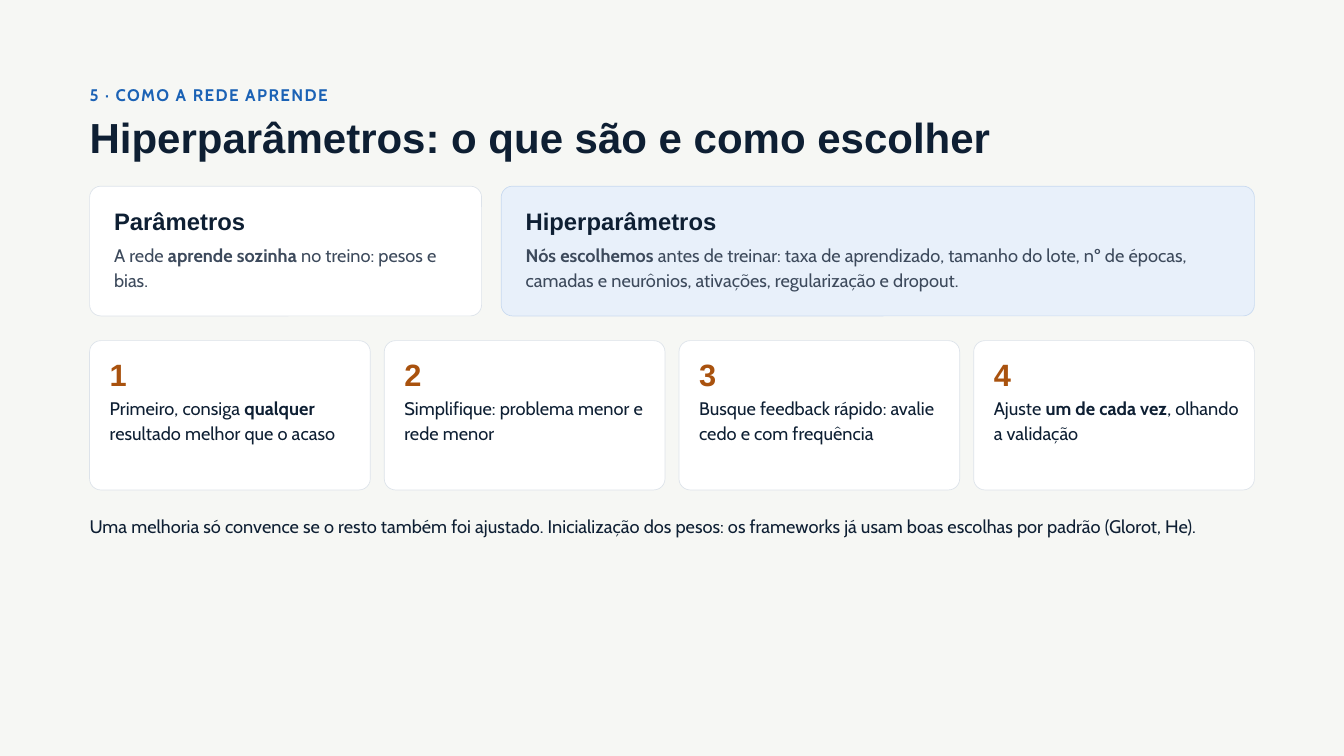
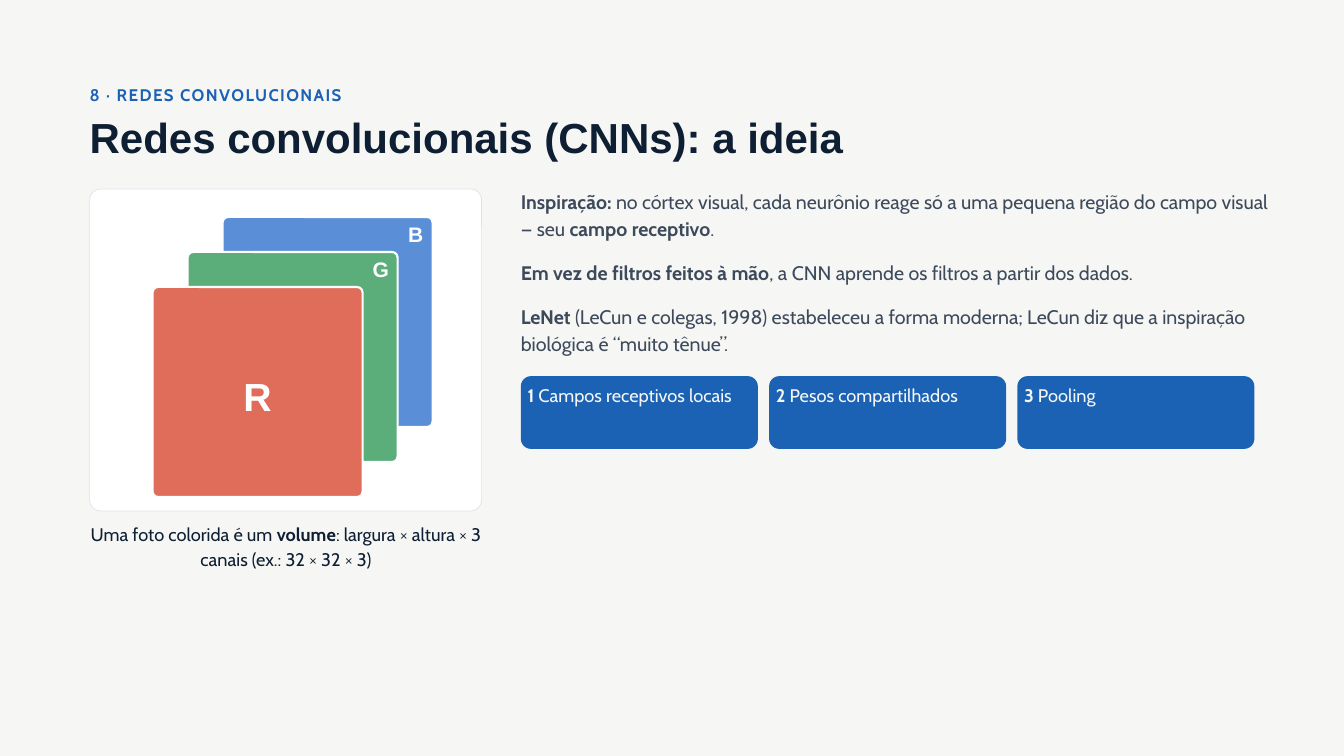
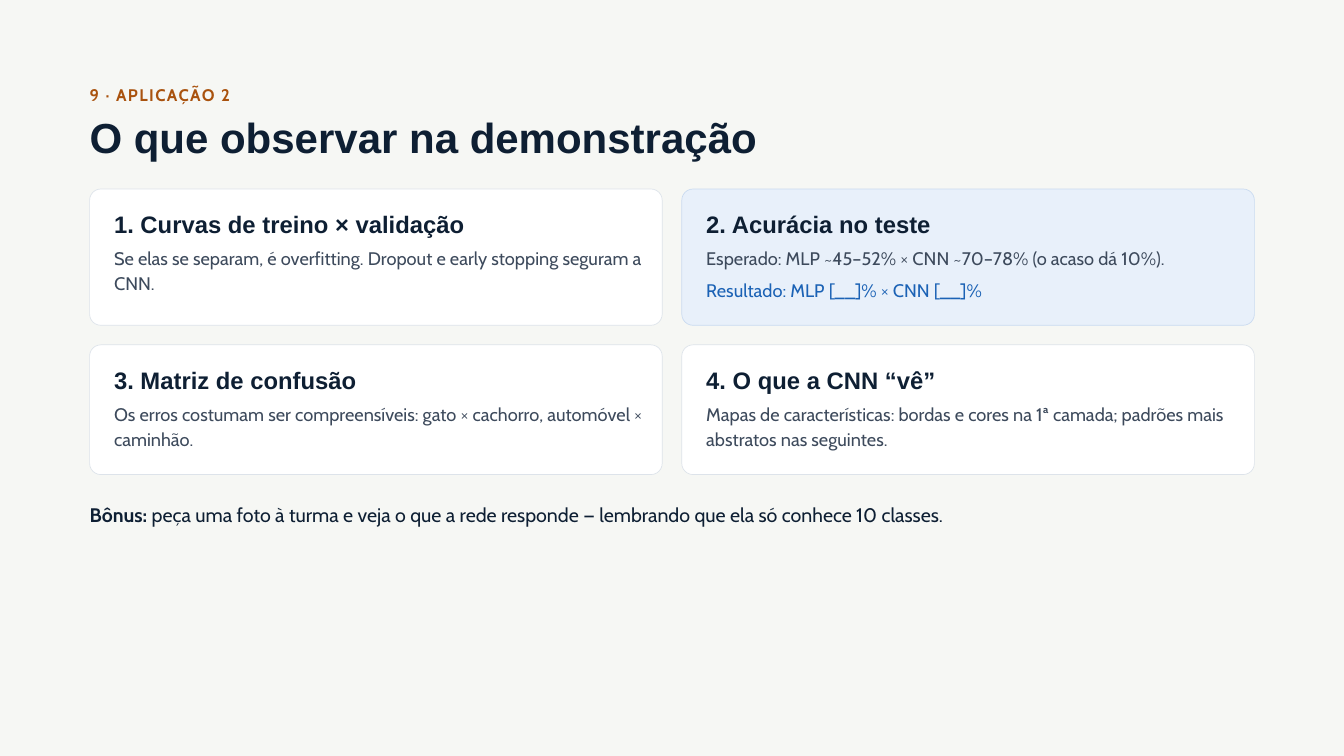
from pptx import Presentation
from pptx.dml.color import RGBColor
from pptx.enum.shapes import MSO_SHAPE
from pptx.enum.text import MSO_ANCHOR, PP_ALIGN
from pptx.util import Pt

ROUND = MSO_SHAPE.ROUNDED_RECTANGLE
TOP = MSO_ANCHOR.TOP
LEFT, CENTER = PP_ALIGN.LEFT, PP_ALIGN.CENTER

# Palette and fonts
PAPER, WHITE, NAVY, SLATE = "F6F7F4", "FFFFFF", "0E1F33", "3D4A5C"
BLUE, RUST, PALE = "1B62B5", "A9520E", "E8F0FA"
EDGE = {WHITE: "DDE3EA", PALE: "C9DAF0"}
HEAD, BODY = "Arial", "Cabin"

# Shared grid
X, WIDE, GAP = 96, 1248, 21
PAD, RISE, DROP = 26.2, 22.3, 58.3  # card inset, heading and body offsets


def write(box, text, size, lead, color=NAVY, font=BODY, align=LEFT, pad=0):
    """Fill a box with one paragraph; **marks** set bold and HEAD is all bold."""
    frame = box.text_frame
    frame.word_wrap = True
    frame.vertical_anchor = TOP
    frame.margin_left = frame.margin_right = Pt(pad)
    frame.margin_top = frame.margin_bottom = Pt(pad)
    para = frame.paragraphs[0]
    para.alignment = align
    para.line_spacing = Pt(lead)
    for i, part in enumerate(text.split("**")):
        if part:
            run = para.add_run()
            run.text = part
            run.font.name = font
            run.font.size = Pt(size)
            run.font.bold = font == HEAD or i % 2 == 1
            run.font.color.rgb = RGBColor.from_string(color)


def place(page, x, y, w, h, fill=None, edge=None, line=0.75, curve=12):
    """Add a text box, or a rounded box when a fill is given."""
    spot = Pt(x), Pt(y), Pt(w), Pt(h)
    if fill is None:
        return page.shapes.add_textbox(*spot)
    box = page.shapes.add_shape(ROUND, *spot)
    box.adjustments[0] = curve / min(w, h)
    box.shadow.inherit = False
    box.fill.solid()
    box.fill.fore_color.rgb = RGBColor.from_string(fill)
    if edge:
        box.line.color.rgb = RGBColor.from_string(edge)
        box.line.width = Pt(line)
    else:
        box.line.fill.background()
    return box


deck = Presentation()
deck.slide_width, deck.slide_height = Pt(1440), Pt(810)

# Background, section tag and title of each slide
pages = []
for tag, title, color in [
    ("5 · COMO A REDE APRENDE", "Hiperparâmetros: o que são e como escolher", BLUE),
    ("8 · REDES CONVOLUCIONAIS", "Redes convolucionais (CNNs): a ideia", BLUE),
    ("9 · APLICAÇÃO 2", "O que observar na demonstração", RUST),
]:
    page = deck.slides.add_slide(deck.slide_layouts[6])
    page.background.fill.solid()
    page.background.fill.fore_color.rgb = RGBColor.from_string(PAPER)
    label = place(page, X, 87, 1285, 31)
    write(label, f"**{tag}**", 18, 25.2, color)
    label.text_frame.paragraphs[0].runs[0].font._element.set("spc", "150")
    write(place(page, X, 124.5, 1285, 51), title, 45, 49.5, font=HEAD)
    pages.append(page)
tuning, vision, demo = pages

# Heading cards of the first and last slides
half = (WIDE - GAP) / 2
right = X + half + GAP
for page, x, y, w, h, fill, head, text in [
    (tuning, X, 199.5, 420, 139, WHITE, "Parâmetros",
     "A rede **aprende sozinha** no treino: pesos e bias."),
    (tuning, 537, 199.5, 807, 139, PALE, "Hiperparâmetros",
     "**Nós escolhemos** antes de treinar: taxa de aprendizado, tamanho do lote, "
     "nº de épocas, camadas e neurônios, ativações, regularização e dropout."),
    (demo, X, 202.5, half, 146, WHITE, "1. Curvas de treino × validação",
     "Se elas se separam, é overfitting. Dropout e early stopping seguram a CNN."),
    (demo, right, 202.5, half, 146, PALE, "2. Acurácia no teste",
     "Esperado: MLP ~45–52% × CNN ~70–78% (o acaso dá 10%)."),
    (demo, X, 369.5, half, 139, WHITE, "3. Matriz de confusão",
     "Os erros costumam ser compreensíveis: gato × cachorro, automóvel × caminhão."),
    (demo, right, 369.5, half, 139, WHITE, "4. O que a CNN “vê”",
     "Mapas de características: bordas e cores na 1ª camada; "
     "padrões mais abstratos nas seguintes."),
]:
    place(page, x, y, w, h, fill, EDGE[fill])
    write(place(page, x + PAD, y + RISE, w - 40, 34.5), head, 25.5, 30.6, font=HEAD)
    write(place(page, x + PAD, y + DROP, w - 40, 60), text, 19.5, 27.3, SLATE)

# Slide 1: four numbered steps
step = (WIDE - 3 * 15) / 4
for i, text in enumerate([
    "Primeiro, consiga **qualquer** resultado melhor que o acaso",
    "Simplifique: problema menor e rede menor",
    "Busque feedback rápido: avalie cedo e com frequência",
    "Ajuste **um de cada vez**, olhando a validação",
]):
    x, y = X + i * (step + 15), 365
    place(tuning, x, y, step, 160, WHITE, EDGE[WHITE])
    write(place(tuning, x + 21.5, y + RISE, step - 35, 34), str(i + 1), 33, 33, RUST, HEAD)
    write(place(tuning, x + 21.5, y + DROP, step - 35, 58), text, 19.5, 26.3)
write(place(tuning, X, 548.5, 1285, 60),
      "Uma melhoria só convence se o resto também foi ajustado. Inicialização dos pesos: "
      "os frameworks já usam boas escolhas por padrão (Glorot, He).", 19.5, 27.3)

# Slide 2: colour channels stacked from back to front
place(vision, X, 202.5, 420, 345, WHITE, EDGE[WHITE])
side = 225
for i, (name, color) in enumerate([("B", "5A8FD8"), ("G", "5BAE7A"), ("R", "E06C5A")]):
    x, y = 238.5 - i * 37.5, 232.5 + i * 37.5
    place(vision, x, y, side, side, color, WHITE, 2.25, 6)
    if name == "R":
        write(place(vision, x, y + 83.5, side, 69), name, 42, 58.8, WHITE, HEAD, CENTER)
    else:
        write(place(vision, x + side - 36, y, 36, 39), name, 22.5, 31.5, WHITE, HEAD, CENTER)
write(place(vision, 90, 556.5, 433, 60),
      "Uma foto colorida é um **volume**: largura × altura × 3 canais (ex.: 32 × 32 × 3)",
      19.5, 27.3, align=CENTER)

# Slide 2: explanation
for y, text in [
    (199, "**Inspiração:** no córtex visual, cada neurônio reage só a uma pequena região "
          "do campo visual — seu **campo receptivo**."),
    (275, "**Em vez de filtros feitos à mão**, a CNN aprende os filtros a partir dos dados."),
    (322.5, "**LeNet** (LeCun e colegas, 1998) estabeleceu a forma moderna; "
            "LeCun diz que a inspiração biológica é “muito tênue”."),
]:
    write(place(vision, 558, y, 809, 65), text, 21, 29.4, SLATE)

# Slide 2: three key ideas
for i, text in enumerate(["Campos receptivos locais", "Pesos compartilhados", "Pooling"]):
    pill = place(vision, 558 + i * 266, 403, 254, 78, BLUE, curve=11)
    write(pill, f"**{i + 1}** {text}", 19.5, 25.4, PAPER, pad=4)

# Slide 3: result line and bonus
write(place(demo, right + PAD, 295.5, half - 40, 33),
      "Resultado: MLP [__]% × CNN [__]%", 19.5, 27.3, BLUE)
write(place(demo, X, 535, 1285, 36),
      "**Bônus:** peça uma foto à turma e veja o que a rede responde — "
      "lembrando que ela só conhece 10 classes.", 21, 29.4)

deck.save("out.pptx")
